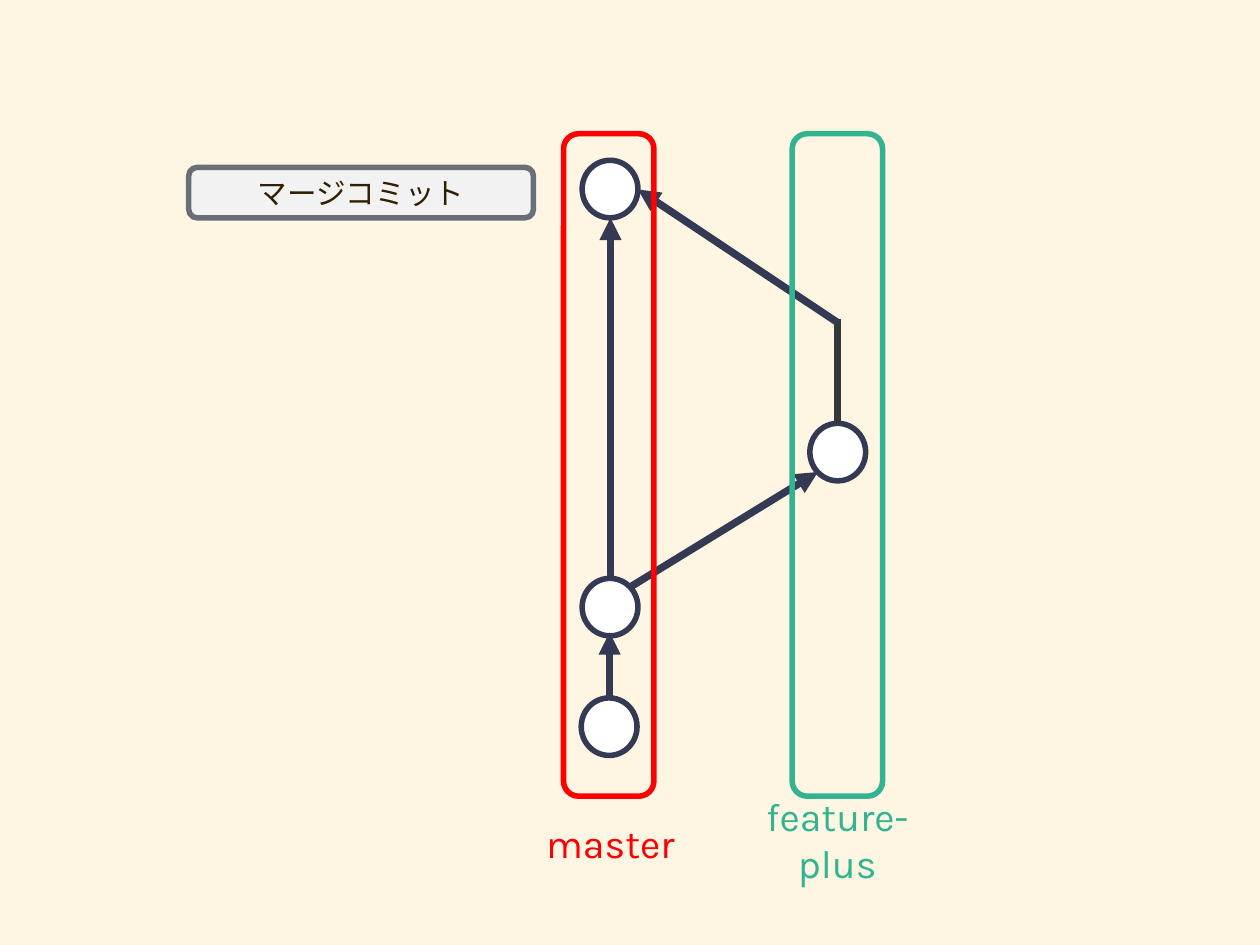
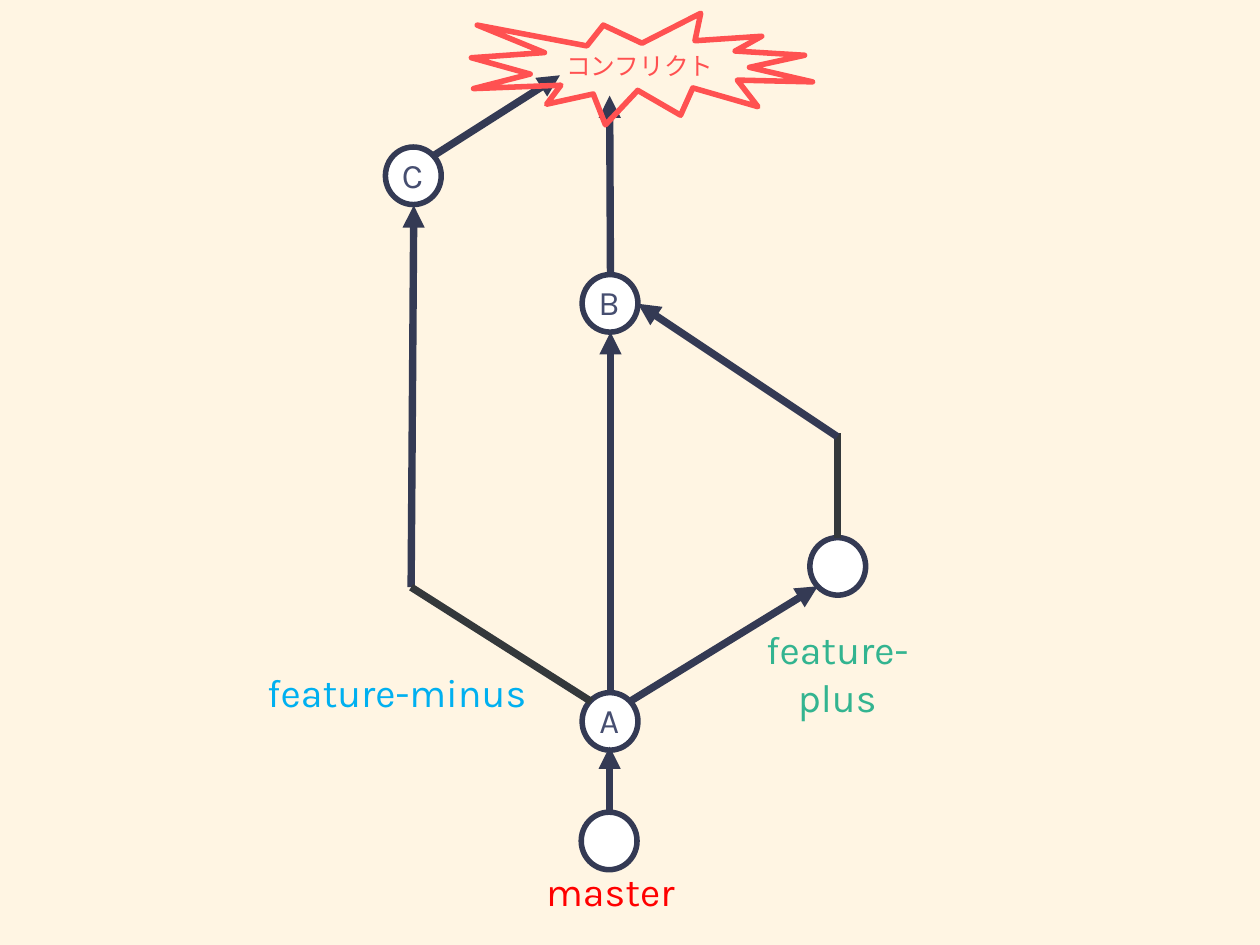
from lxml import etree
from pptx import Presentation
from pptx.dml.color import RGBColor
from pptx.enum.shapes import MSO_CONNECTOR, MSO_SHAPE as SHAPE
from pptx.enum.text import MSO_ANCHOR, MSO_AUTO_SIZE, PP_ALIGN
from pptx.oxml.ns import qn
from pptx.util import Inches, Pt

CREAM, WHITE, NAVY, DARK = "FFF5E3", "FFFFFF", "343A54", "34383B"
RED, GREEN, BLUE, CORAL = "FF0000", "33B490", "00B0F0", "FF5151"
GRAY, PALE, BROWN, SLATE = "686F76", "F2F2F2", "301F00", "464E70"
LATIN, JAPANESE = "Karla", "Noto Sans CJK JP"


def rgb(value):
    """Turn a hex string into a colour."""
    return RGBColor.from_string(value)


def write(shape, text, size=32, color=NAVY, font=LATIN):
    """Put one centred line of formatted text into a shape."""
    tf = shape.text_frame
    tf.word_wrap = True
    tf.auto_size = MSO_AUTO_SIZE.SHAPE_TO_FIT_TEXT
    tf.vertical_anchor = MSO_ANCHOR.MIDDLE
    tf.margin_left = tf.margin_right = Inches(0.06)
    tf.margin_top = tf.margin_bottom = Inches(0.06)
    p = tf.paragraphs[0]
    p.alignment = PP_ALIGN.CENTER
    r = p.add_run()
    r.text = text
    r.font.size = Pt(size)
    r.font.name = font
    r.font.color.rgb = rgb(color)
    etree.SubElement(r.font._element, qn("a:ea"), typeface=font)


class GraphDeck:
    """Draw commit graphs in one style on the current slide."""

    def __init__(self):
        """Start an empty deck."""
        self.prs = Presentation()
        self.prs.slide_width = Inches(14.22)
        self.prs.slide_height = Inches(10.67)
        self.s = None

    def slide(self):
        """Add a blank slide with the shared background."""
        self.s = self.prs.slides.add_slide(self.prs.slide_layouts[6])
        fill = self.s.background.fill
        fill.solid()
        fill.fore_color.rgb = rgb(CREAM)

    def shape(self, kind, x, y, w, h, line=NAVY, fill=None):
        """Add an outlined preset shape."""
        sp = self.s.shapes.add_shape(kind, Inches(x), Inches(y), Inches(w), Inches(h))
        sp.shadow.inherit = False
        if fill:
            sp.fill.solid()
            sp.fill.fore_color.rgb = rgb(fill)
        else:
            sp.fill.background()
        sp.line.color.rgb = rgb(line)
        sp.line.width = Pt(4.5)
        return sp

    def label(self, text, x, y, w=2.6, h=0.65, **style):
        """Add a text box."""
        box = self.s.shapes.add_textbox(Inches(x), Inches(y), Inches(w), Inches(h))
        write(box, text, **style)

    def commit(self, x, y, name=None):
        """Add a commit circle, with its name if it has one."""
        self.shape(SHAPE.FLOWCHART_CONNECTOR, x, y, 0.63, 0.65, fill=WHITE)
        if name:
            self.label(name, x + 0.07, y + 0.02, 0.47, 0.58, size=28, color=SLATE)

    def line(self, x1, y1, x2, y2, color=NAVY, arrow=True):
        """Add a straight line, by default with an arrowhead at its end."""
        c = self.s.shapes.add_connector(
            MSO_CONNECTOR.STRAIGHT, Inches(x1), Inches(y1), Inches(x2), Inches(y2))
        c.line.color.rgb = rgb(color)
        c.line.width = Pt(6)
        if arrow:
            etree.SubElement(c.line._get_or_add_ln(), qn("a:tailEnd"), type="triangle")
        etree.SubElement(c._element.spPr, qn("a:effectLst"))

    def merge_graph(self, dy=0, base=None, merge=None):
        """Draw master with the feature-plus branch merged into it."""
        self.commit(9.14, 4.78 + dy)
        self.commit(6.57, 6.53 + dy, base)
        self.line(7.11, 6.63 + dy, 9.23, 5.33 + dy)
        self.commit(6.56, 7.88 + dy)
        self.line(6.88, 7.89 + dy, 6.88, 7.14 + dy)
        self.commit(6.57, 1.81 + dy, merge)
        self.line(6.89, 6.53 + dy, 6.89, 2.46 + dy)
        self.line(9.45, 4.78 + dy, 9.45, 3.6 + dy, DARK, arrow=False)
        self.line(9.45, 3.64 + dy, 7.2, 2.14 + dy)

    def branch_names(self, master_y, plus_y):
        """Label the two branches that both slides share."""
        self.label("master", 5.59, master_y, color=RED)
        self.label("feature-plus", 8.15, plus_y, color=GREEN)


deck = GraphDeck()

deck.slide()
deck.merge_graph()
deck.branch_names(9.19, 9.15)
for x, color in ((6.36, RED), (8.94, GREEN)):
    deck.shape(SHAPE.ROUNDED_RECTANGLE, x, 1.51, 1.02, 7.48, color)
note = deck.shape(SHAPE.ROUNDED_RECTANGLE, 2.13, 1.89, 3.89, 0.57, GRAY, PALE)
write(note, "マージコミット", size=24, color=BROWN, font=JAPANESE)

deck.slide()
deck.merge_graph(1.29, "A", "B")
deck.branch_names(9.73, 7.27)
deck.label("feature-minus", 2.95, 7.49, 3.06, color=BLUE)
deck.commit(4.35, 1.66, "C")
deck.line(4.64, 6.63, 4.67, 2.32)
deck.line(6.67, 7.92, 4.64, 6.63, DARK, arrow=False)
deck.line(6.89, 3.11, 6.88, 1.08)
deck.line(4.89, 1.76, 6.32, 0.85)
conflict = deck.shape(SHAPE.EXPLOSION1, 5.32, 0.15, 3.85, 1.26, CORAL)
write(conflict, "コンフリクト", size=20, color=CORAL, font=JAPANESE)

deck.prs.save("out.pptx")
